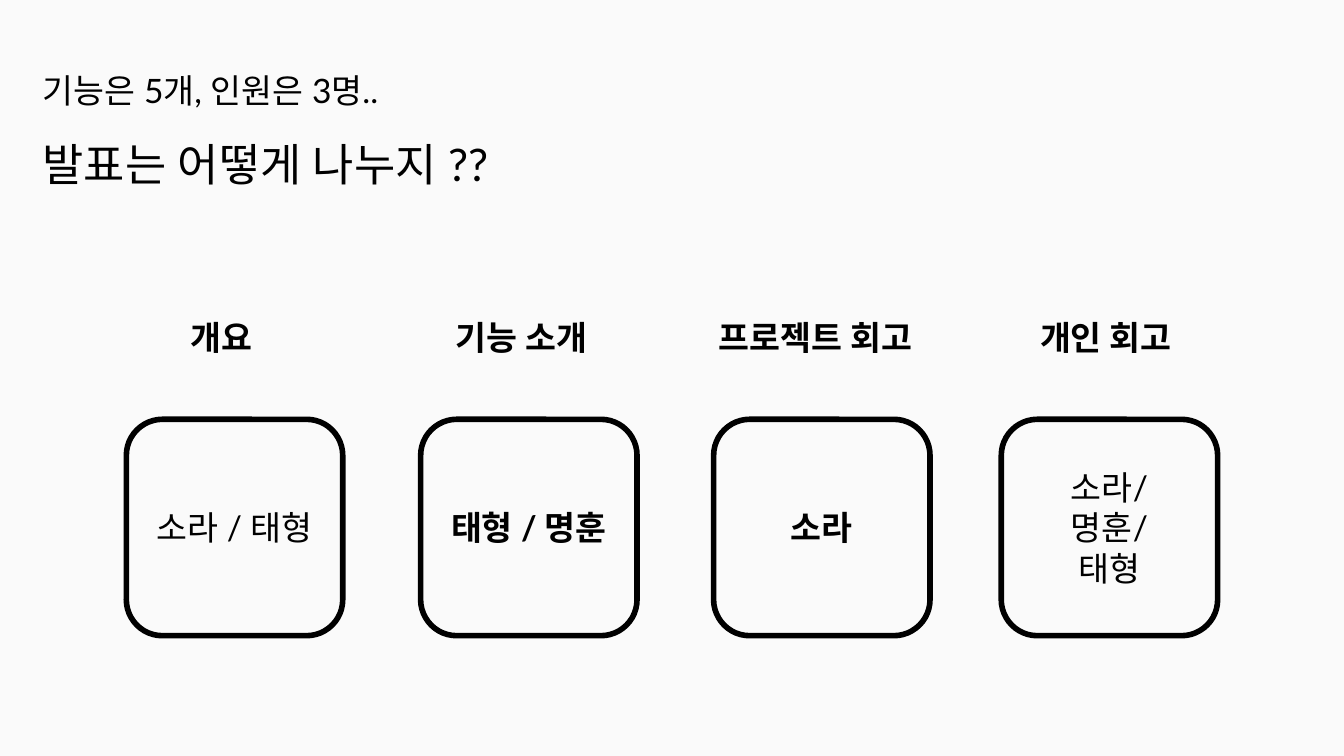
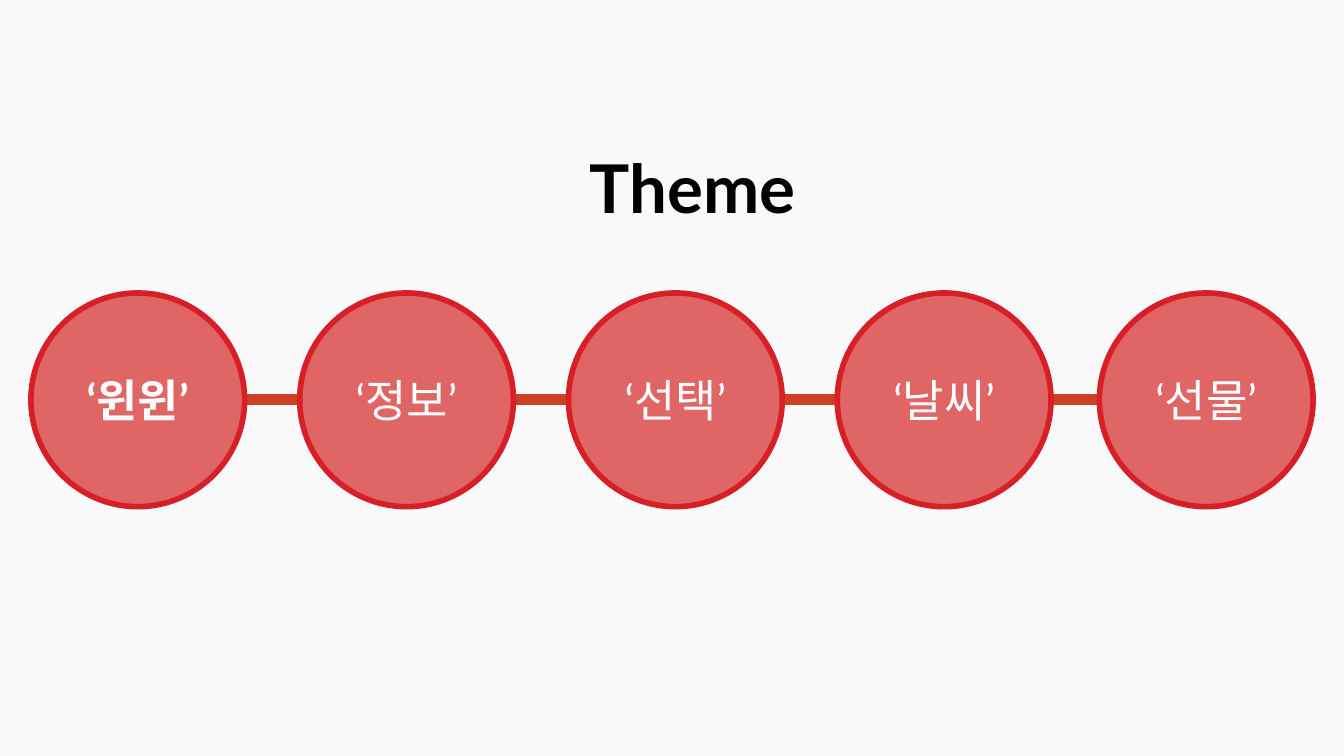
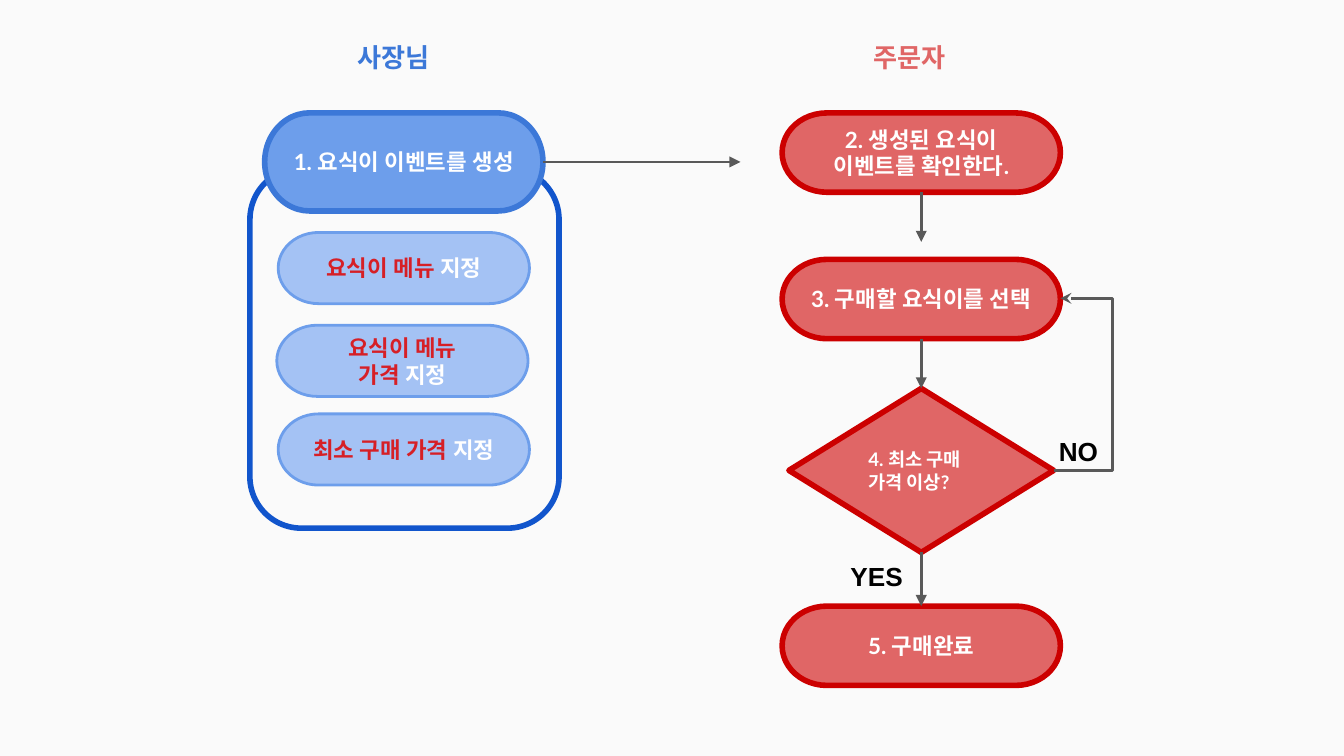
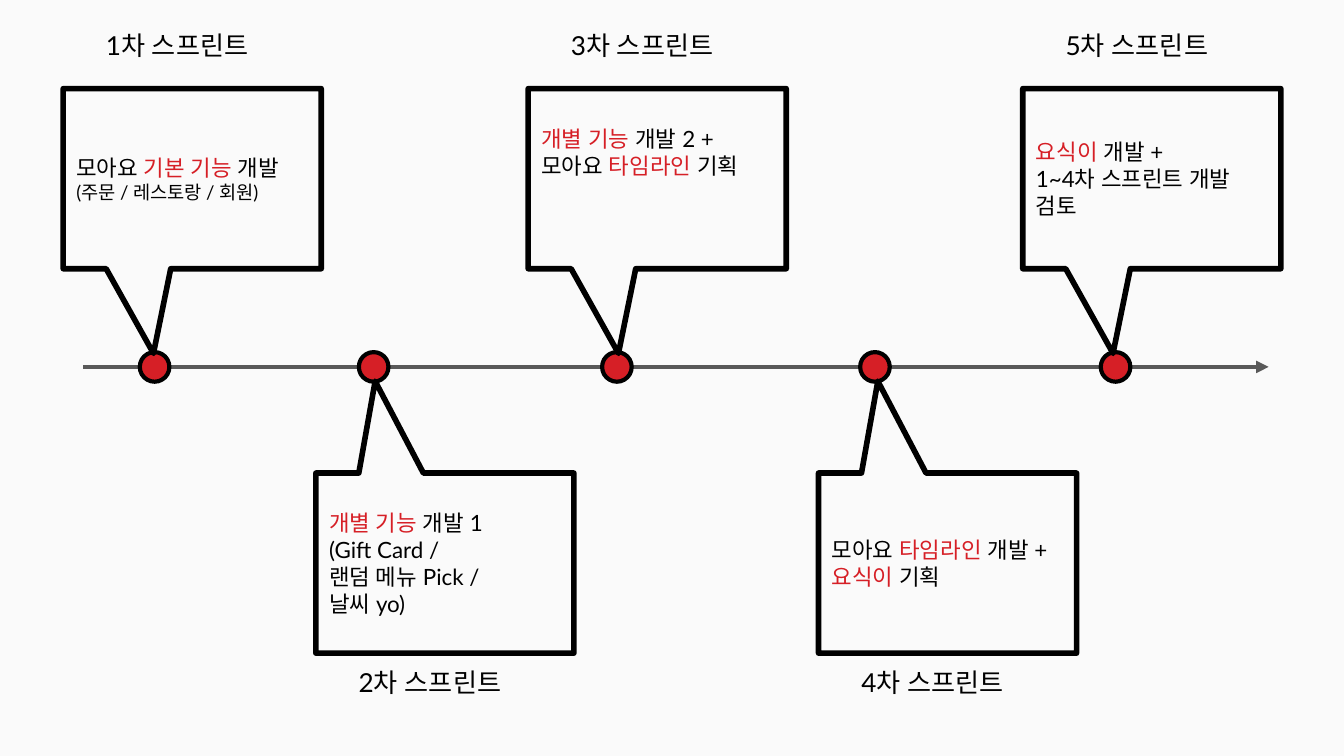
from dataclasses import dataclass

import pptx
import pptx.util
import pptx.dml.color
import pptx.enum.shapes
import pptx.enum.text
import pptx.oxml
import pptx.oxml.ns
from lxml import etree

SHAPE = pptx.enum.shapes.MSO_SHAPE
CONNECTOR = pptx.enum.shapes.MSO_CONNECTOR
ALIGN = pptx.enum.text.PP_ALIGN
ANCHOR = pptx.enum.text.MSO_ANCHOR
qn = pptx.oxml.ns.qn

SLIDE_WIDTH = pptx.util.Inches(10)
SLIDE_HEIGHT = SLIDE_WIDTH * 9 // 16
COLUMNS = 100
UNIT = SLIDE_WIDTH // COLUMNS  # one square grid cell
ROWS = 56.25
TOP, LEFT, BOTTOM, RIGHT = range(4)


@dataclass(frozen=True)
class Theme:
    font: str = "Lato"
    label_font: str = "Arial"
    background: str = "FAFAFA"
    ink: str = "000000"
    white: str = "FFFFFF"
    accent: str = "D61F26"
    rose: str = "E06666"
    chain: str = "CC4125"
    deep_red: str = "CC0000"
    blue: str = "6D9EEB"
    dark_blue: str = "3C78D8"
    frame_blue: str = "1155CC"
    pale_blue: str = "A4C2F4"
    arrow: str = "595959"
    display: int = 36
    title: int = 24
    heading: int = 18
    label: int = 14
    body: int = 12
    small: int = 10
    heavy: float = 6
    thick: float = 3
    medium: float = 2.25
    thin: float = 1.5


THEME = Theme()


@dataclass(frozen=True)
class Box:
    """A region in grid columns and rows."""
    x: float
    y: float
    w: float
    h: float

    def inner(self, x, y, w, h):
        return Box(self.x + x, self.y + y, w, h)

    def emu(self):
        return [grid(value) for value in (self.x, self.y, self.w, self.h)]


PAGE = Box(0, 0, COLUMNS, ROWS)


def grid(cells):
    return round(cells * UNIT)


def rgb(code):
    return pptx.dml.color.RGBColor.from_string(code)


# Shared drawing helpers

def write(shape, lines, size, color=THEME.ink, bold=False, align=ALIGN.LEFT,
          anchor=ANCHOR.TOP, spacing=None, font=THEME.font):
    """Write lines; pieces between bars take the accent colour.

    size is one type size, or one for each line.
    """
    frame = shape.text_frame
    frame.word_wrap = True
    frame.vertical_anchor = anchor
    frame.margin_left = frame.margin_right = grid(1)
    frame.margin_top = frame.margin_bottom = grid(1)
    sizes = size if isinstance(size, tuple) else (size,) * len(lines)
    for index, (line, points) in enumerate(zip(lines, sizes)):
        paragraph = frame.paragraphs[0] if index == 0 else frame.add_paragraph()
        paragraph.alignment = align
        if spacing:
            paragraph.line_spacing = spacing
        for order, piece in enumerate(line.split("|")):
            if not piece:
                continue
            run = paragraph.add_run()
            run.text = piece
            run.font.name = font
            run.font.size = pptx.util.Pt(points)
            run.font.bold = bold
            run.font.color.rgb = rgb(THEME.accent if order % 2 else color)
            east_asian = etree.SubElement(run.font._element, qn("a:ea"))
            east_asian.set("typeface", font)
    return frame


def add_text(slide, box, lines, size, **style):
    return write(slide.shapes.add_textbox(*box.emu()), lines, size, **style)


def add_figure(shapes, kind, box, fill, line, weight):
    figure = shapes.add_shape(kind, *box.emu())
    figure.shadow.inherit = False
    if fill:
        figure.fill.solid()
        figure.fill.fore_color.rgb = rgb(fill)
    else:
        figure.fill.background()
    figure.line.color.rgb = rgb(line)
    figure.line.width = pptx.util.Pt(weight)
    return figure


def add_line(shapes, start, end, weight, color=THEME.arrow, head=None,
             kind=CONNECTOR.STRAIGHT):
    line = shapes.add_connector(kind, *map(grid, (*start, *end)))
    line.line.color.rgb = rgb(color)
    line.line.width = pptx.util.Pt(weight)
    properties = line._element.spPr
    if head:
        tail = etree.SubElement(properties.find(qn("a:ln")), qn("a:tailEnd"))
        tail.set("type", head)
    etree.SubElement(properties, qn("a:effectLst"))
    return line


# Slide 1: who presents what

def role_card(slide, box, title, title_shift, title_width, names, bold):
    add_text(slide, box.inner(title_shift, 0, title_width, 5.8), [title],
             THEME.heading, bold=True)
    card = add_figure(slide.shapes, SHAPE.ROUNDED_RECTANGLE,
                      box.inner(0, 8.6, box.w, box.w), None, THEME.ink, THEME.thick)
    write(card, names, THEME.heading, bold=bold, align=ALIGN.CENTER,
          anchor=ANCHOR.MIDDLE)


def roles_slide(slide, box):
    add_text(slide, box.inner(2.2, 2.7, 41, 12.2),
             ["기능은 5개, 인원은 3명..", "발표는 어떻게 나누지 ??"],
             (THEME.heading, THEME.title), spacing=1.5)
    cards = [
        (9.4, "개요", 3.8, 8.4, ["소라 / 태형"], False),
        (31.3, "기능 소개", 1.6, 16.5, ["태형 / 명훈"], True),
        (53.1, "프로젝트 회고", -0.6, 17.2, ["소라"], True),
        (74.5, "개인 회고", 1.9, 12.4, ["소라/", "명훈/", "태형"], False),
    ]
    for left, *content in cards:
        role_card(slide, box.inner(left, 22.6, 16.1, 24.7), *content)


# Slide 2: chain of themes

def theme_chain(slide, box, themes, lefts):
    shapes = slide.shapes.add_group_shape().shapes
    diameter, middle = box.h, box.y + box.h / 2
    add_line(shapes, (box.x + diameter, middle), (box.x + lefts[-1], middle),
             THEME.heavy, THEME.chain)
    for theme, left in zip(themes, lefts):
        circle = add_figure(shapes, SHAPE.OVAL, box.inner(left, 0, diameter, diameter),
                            THEME.rose, THEME.accent, THEME.thick)
        write(circle, [theme], THEME.title, THEME.white, bold=theme == themes[0],
              align=ALIGN.CENTER, anchor=ANCHOR.MIDDLE)


def themes_slide(slide, box):
    theme_chain(slide, box.inner(2.3, 21.8, 95.4, 15.9),
                ["‘윈윈’", "‘정보’", "‘선택’", "‘날씨’", "‘선물’"],
                [0, 20, 40, 60, 79.5])
    add_text(slide, box.inner(42.9, 9.9, 66.1, 7.7), ["Theme"], THEME.display,
             bold=True)


# Slide 3: order flow

def flow_step(slide, box, lines, fill, line, weight=THEME.thick,
              kind=SHAPE.FLOWCHART_TERMINATOR, size=THEME.body, align=ALIGN.CENTER):
    step = add_figure(slide.shapes, kind, box, fill, line, weight)
    write(step, lines, size, THEME.white, bold=True, align=align,
          anchor=ANCHOR.MIDDLE)
    return step


def owner_lane(slide, box):
    add_text(slide, box.inner(7, 0, 9, 4.7), ["사장님"], THEME.label,
             color=THEME.dark_blue, bold=True)
    add_figure(slide.shapes, SHAPE.ROUNDED_RECTANGLE, box.inner(0, 10.4, 23, 26.8),
               THEME.background, THEME.frame_blue, THEME.thick)
    settings = [
        (2.1, 15.2, ["|요식이 메뉴| 지정"]),
        (2, 22.1, ["|요식이 메뉴|", "|가격| 지정"]),
        (2.1, 28.7, ["|최소 구매 가격| 지정"]),
    ]
    for left, top, lines in settings:
        flow_step(slide, box.inner(left, top, 18.7, 5.3), lines, THEME.pale_blue,
                  THEME.blue, THEME.thin)
    create = flow_step(slide, box.inner(1.1, 6.3, 20.7, 7.3),
                       ["1. 요식이 이벤트를 생성"], THEME.blue, THEME.dark_blue)
    middle = box.y + 9.95
    handover = add_line(slide.shapes, (box.x + 21.8, middle), (box.x + 36.5, middle),
                        THEME.thin, head="triangle")
    handover.begin_connect(create, RIGHT)


def orderer_lane(slide, box):
    add_text(slide, box.inner(5.8, 0, 9, 4.7), ["주문자"], THEME.label,
             color=THEME.rose, bold=True)
    red = (THEME.rose, THEME.deep_red)
    confirm, choose, finish = [
        flow_step(slide, box.inner(0, top, box.w, 5.9), [text], *red)
        for top, text in [(6.3, "2. 생성된 요식이 이벤트를 확인한다."),
                          (17.2, "3. 구매할 요식이를 선택"),
                          (43, "5. 구매완료")]
    ]
    check = flow_step(slide, box.inner(0.5, 26.8, 19.7, 12.2),
                      ["4. 최소 구매 가격 이상?"], *red,
                      kind=SHAPE.FLOWCHART_DECISION, size=THEME.small,
                      align=ALIGN.LEFT)

    # Downward arrows
    center = box.x + box.w / 2
    for source, target, start, end in [(confirm, None, 12.2, 15.9),
                                       (choose, check, 23.1, 26.8),
                                       (check, finish, 39, 43)]:
        arrow = add_line(slide.shapes, (center, box.y + start),
                         (center, box.y + end), THEME.thin, head="triangle")
        arrow.begin_connect(source, BOTTOM)
        if target:
            arrow.end_connect(target, TOP)

    # Loop back to the choice
    loop = add_line(slide.shapes, (box.x + 20.2, box.y + 32.9),
                    (box.x + box.w, box.y + 20.1), THEME.thin, head="stealth",
                    kind=CONNECTOR.ELBOW)
    turn = loop._element.spPr.find(qn("a:xfrm"))
    turn.attrib.pop("flipV", None)
    turn.set("rot", "10800000")
    turn.set("flipH", "1")
    outline = loop._element.spPr.find(qn("a:prstGeom"))
    bend = etree.SubElement(outline.get_or_add_avLst(), qn("a:gd"))
    bend.set("name", "adj1")
    bend.set("fmla", "val 870000")

    # Answers
    for left, top, answer in [(4.1, 38.6, "YES"), (19.6, 29.3, "NO")]:
        add_text(slide, box.inner(left, top, 6.6, 3.1), [answer], THEME.label,
                 bold=True, font=THEME.label_font)


def flow_slide(slide, box):
    owner_lane(slide, box.inner(18.6, 2.1, 23, 37.2))
    orderer_lane(slide, box.inner(58.2, 2.1, 20.7, 48.9))


# Slide 4: sprint timeline

def sprint(slide, box, number, lines, above, size=THEME.body, lift=0):
    label_top = -5.4 if above else box.h
    pointer = (-0.15, 0.97, 0) if above else (-0.27, -1.01, 0)
    callout = add_figure(slide.shapes, SHAPE.ROUNDED_RECTANGULAR_CALLOUT, box,
                         THEME.background, THEME.ink, THEME.thick)
    for index, value in enumerate(pointer):
        callout.adjustments[index] = value
    frame = write(callout, lines, size, anchor=ANCHOR.MIDDLE)
    frame.margin_bottom = grid(1 + lift)
    add_text(slide, box.inner(2.2, label_top, 14.8, 3.8), [f"{number}차 스프린트"],
             THEME.label)


def timeline_slide(slide, box):
    axis = 27.3
    add_line(slide.shapes, (box.x + 6.2, box.y + axis), (box.x + 94.4, box.y + axis),
             THEME.medium, head="triangle")
    sprints = [
        (4.7, 10.4, ["모아요| 기본 기능| 개발", "(주문 / 레스토랑 / 회원)"],
         {"size": (THEME.body, THEME.small)}),
        (23.5, 26.7, ["|개별 기능| 개발 1", "(Gift Card /", "랜덤 메뉴 Pick /",
                      "날씨 yo)"], {}),
        (39.3, 44.8, ["|개별 기능| 개발 2 +", "모아요| 타임라인| 기획"], {"lift": 4}),
        (60.9, 64, ["모아요 |타임라인 |개발 +", "|요식이| 기획"], {}),
        (76.1, 81.9, ["|요식이| 개발 +", "1~4차 스프린트 개발 검토"], {}),
    ]
    for number, (left, dot_left, lines, options) in enumerate(sprints, 1):
        above = number % 2 == 1
        add_figure(slide.shapes, SHAPE.OVAL, box.inner(dot_left, axis - 1.1, 2.2, 2.2),
                   THEME.accent, THEME.ink, THEME.medium)
        sprint(slide, box.inner(left, 6.6 if above else 35.2, 19.2, 13.4), number,
               lines, above, **options)


def main():
    deck = pptx.Presentation()
    deck.slide_width, deck.slide_height = SLIDE_WIDTH, SLIDE_HEIGHT
    backdrop = deck.slide_master.background.fill
    backdrop.solid()
    backdrop.fore_color.rgb = rgb(THEME.background)
    for build in (roles_slide, themes_slide, flow_slide, timeline_slide):
        build(deck.slides.add_slide(deck.slide_layouts[6]), PAGE)
    deck.save("out.pptx")


if __name__ == "__main__":
    main()
